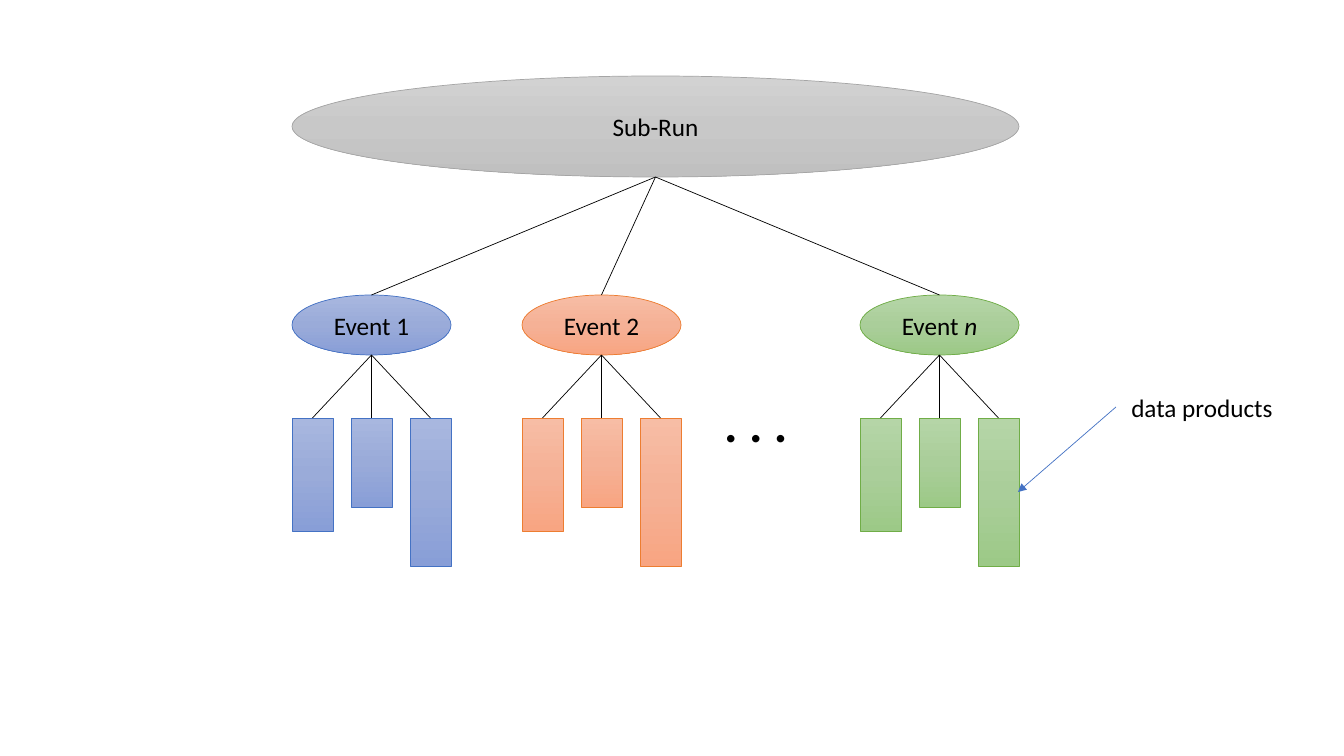
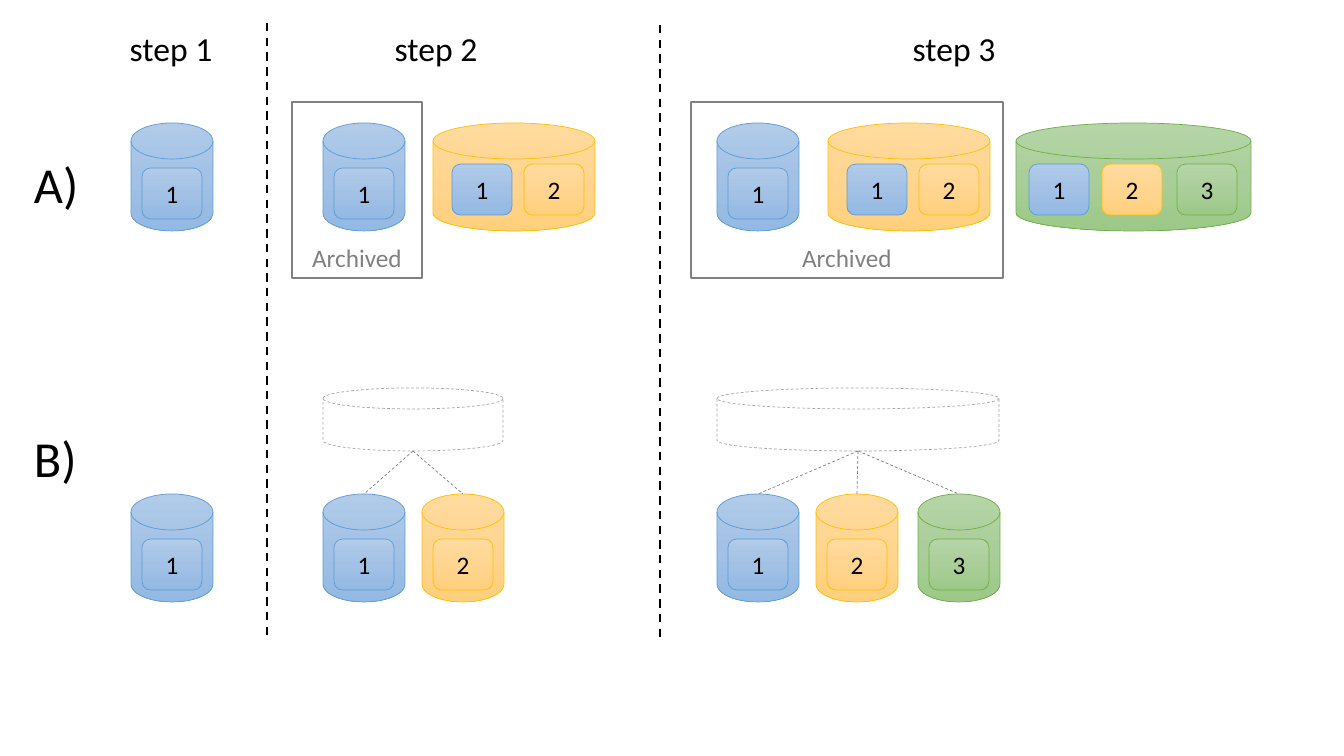
"""Build two slides: an event data tree and a comparison of two storage schemes."""
from copy import deepcopy

from pptx import Presentation
from pptx.dml.color import RGBColor
from pptx.enum.dml import MSO_LINE
from pptx.enum.shapes import MSO_CONNECTOR, MSO_SHAPE as SHAPE
from pptx.enum.text import MSO_ANCHOR as ANCHOR, PP_ALIGN as ALIGN
from pptx.oxml.ns import qn
from pptx.oxml.xmlchemy import OxmlElement
from pptx.util import Pt

SCALE = 914400 / 100.8
PAGE_SIZE = (1344, 756)
FONT = "Calibri"
BLACK, GREY, PALE_GREY = "000000", "808080", "A5A5A5"

PALETTE = {
    "grey": (("D2D2D2", "C8C8C8", "C0C0C0"), PALE_GREY),
    "indigo": (("A8B7DF", "9AABD9", "889ED7"), "4472C4"),
    "orange": (("F7BDA5", "F5B196", "F8A582"), "ED7D31"),
    "green": (("B5D5A7", "AACE9A", "9CC987"), "70AD47"),
    "blue": (("B1CBE9", "A3C1E5", "93B9E4"), "5B9BD5"),
    "yellow": (("FFDB9E", "FFD590", "FFD07C"), "FFC000"),
}

SUB_RUN = (292, 76, 727, 101)
EVENTS = [
    (292, "indigo", [("Event 1", {})]),
    (522, "orange", [("Event 2", {})]),
    (860, "green", [("Event ", {}), ("n", {"italic": True})]),
]
EVENT_TOP, EVENT_WIDTH, EVENT_HEIGHT = 295, 159, 60
PRODUCT_TOP, PRODUCT_WIDTH, PRODUCT_STEP = 418, 41, 59
PRODUCT_HEIGHTS = (113, 89, 148)
TREE_NOTES = [
    ((704, 387, 115, 72), ". . . ", {"size": Pt(36), "bold": True}),
    ((1116, 387, 172, 40), "data products", {"size": Pt(18)}),
]
NOTE_ARROW = ((1116, 407), (1018, 492))

DATASETS = {"1": "blue", "2": "yellow", "3": "green"}
ROW_A, ROW_B, DISK_HEIGHT, DISK_WIDTH = 123, 494, 108, 82
BLOCK_WIDTH, BLOCK_HEIGHT = 60, 51
SINGLE_DISKS = [
    (ROW_A, "1", (131, 323, 717)),
    (ROW_B, "1", (131, 323, 717)),
    (ROW_B, "2", (422, 816)),
    (ROW_B, "3", (918,)),
]
MERGED_DISKS = [
    (433, 162, "yellow", (19, 91)),
    (828, 162, "yellow", (19, 91)),
    (1016, 235, "green", (13, 86, 161)),
]
VIRTUAL_DISKS = [(323, 180, (323, 422)), (717, 282, (717, 816, 918))]
VIRTUAL_TOP, VIRTUAL_HEIGHT = 388, 63
ARCHIVES = [(292, 102, 130, 176), (691, 102, 312, 176)]
ROW_LABELS = [("A)", 148), ("B)", 422)]
STEP_LABELS = [("step 1", 103), ("step 2", 368), ("step 3", 886)]
DIVIDERS = [(267, 23, 641), (660, 25, 641)]


def emu(*pixels):
    return [round(value * SCALE) for value in pixels]


def rgb(code):
    return RGBColor.from_string(code)


def write(shape, spans, color=BLACK, align=ALIGN.CENTER, anchor=ANCHOR.MIDDLE, **style):
    frame = shape.text_frame
    frame.word_wrap = True
    frame.vertical_anchor = anchor
    para = frame.paragraphs[0]
    para.alignment = align
    for text, extra in spans:
        span = para.add_run()
        span.text = text
        for name, value in {"name": FONT, "size": Pt(18), **style, **extra}.items():
            setattr(span.font, name, value)
        span.font.color.rgb = rgb(color)


def add_label(page, place, text, **style):
    box = page.shapes.add_textbox(*emu(*place))
    write(box, [(text, {})], anchor=ANCHOR.TOP, **style)


def set_line(line, color, width, dashed=False):
    line.color.rgb = rgb(color)
    line.width = Pt(width)
    if dashed:
        line.dash_style = MSO_LINE.DASH


def add_outline(page, kind, place, color, width=0.5, dashed=False):
    shape = page.shapes.add_shape(kind, *emu(*place))
    shape.shadow.inherit = False
    shape.fill.background()
    set_line(shape.line, color, width, dashed)
    return shape


def add_shaded(page, kind, place, tone, spans=()):
    shades, edge = PALETTE[tone]
    shape = add_outline(page, kind, place, edge)
    shape.fill.gradient()
    shape.fill.gradient_angle = 270
    stop_list = shape.element.spPr.find(".//" + qn("a:gsLst"))
    stop_list.insert(1, deepcopy(stop_list[0]))
    for index, (stop, shade) in enumerate(zip(shape.fill.gradient_stops, shades)):
        stop.position = index / 2
        stop.color.rgb = rgb(shade)
    if spans:
        write(shape, spans)
    return shape


def add_link(page, start, end, color=BLACK, width=0.5, dashed=False, arrow=False):
    link = page.shapes.add_connector(MSO_CONNECTOR.STRAIGHT, *emu(*start, *end))
    set_line(link.line, color, width, dashed)
    properties = link.element.spPr
    if arrow:
        head = OxmlElement("a:tailEnd")
        head.set("type", "triangle")
        properties.find(qn("a:ln")).append(head)
    properties.append(OxmlElement("a:effectLst"))


def build_tree(page):
    left, top, width, height = SUB_RUN
    root = (left + width / 2, top + height)
    add_shaded(page, SHAPE.OVAL, SUB_RUN, "grey", [("Sub-Run", {})])
    for left, tone, spans in EVENTS:
        middle = left + EVENT_WIDTH / 2
        place = (left, EVENT_TOP, EVENT_WIDTH, EVENT_HEIGHT)
        add_shaded(page, SHAPE.OVAL, place, tone, spans)
        add_link(page, (middle, EVENT_TOP), root)
        for index, height in enumerate(PRODUCT_HEIGHTS):
            bar_left = left + index * PRODUCT_STEP
            place = (bar_left, PRODUCT_TOP, PRODUCT_WIDTH, height)
            add_shaded(page, SHAPE.RECTANGLE, place, tone)
            add_link(page, (bar_left + PRODUCT_WIDTH / 2, PRODUCT_TOP),
                     (middle, EVENT_TOP + EVENT_HEIGHT))
    for place, text, style in TREE_NOTES:
        add_label(page, place, text, **style)
    add_link(page, *NOTE_ARROW, color=PALETTE["indigo"][1], arrow=True)


def add_disk(page, place, tone):
    add_shaded(page, SHAPE.FLOWCHART_MAGNETIC_DISK, place, tone)


def add_block(page, left, top, number):
    place = (left, top, BLOCK_WIDTH, BLOCK_HEIGHT)
    add_shaded(page, SHAPE.ROUNDED_RECTANGLE, place, DATASETS[number], [(number, {})])


def build_storage(page):
    for top, number, lefts in SINGLE_DISKS:
        for left in lefts:
            add_disk(page, (left, top, DISK_WIDTH, DISK_HEIGHT), DATASETS[number])
            add_block(page, left + (DISK_WIDTH - BLOCK_WIDTH) / 2, top + 45, number)
    for left, width, tone, offsets in MERGED_DISKS:
        add_disk(page, (left, ROW_A, width, DISK_HEIGHT), tone)
        for number, offset in zip(DATASETS, offsets):
            add_block(page, left + offset, ROW_A + 41, number)
    for left, width, members in VIRTUAL_DISKS:
        place = (left, VIRTUAL_TOP, width, VIRTUAL_HEIGHT)
        add_outline(page, SHAPE.FLOWCHART_MAGNETIC_DISK, place, PALE_GREY, dashed=True)
        base = (left + width / 2, VIRTUAL_TOP + VIRTUAL_HEIGHT)
        for member in members:
            add_link(page, base, (member + DISK_WIDTH / 2, ROW_B), GREY, dashed=True)
    for place in ARCHIVES:
        frame = add_outline(page, SHAPE.RECTANGLE, place, GREY, 1)
        write(frame, [("Archived", {})], GREY, anchor=ANCHOR.BOTTOM)
    for text, top in ROW_LABELS:
        add_label(page, (24, top, 73, 72), text, align=ALIGN.LEFT, size=Pt(36))
    for text, left in STEP_LABELS:
        add_label(page, (left, 23, 136, 50), text, size=Pt(24))
    for x, top, bottom in DIVIDERS:
        add_link(page, (x, top), (x, bottom), width=1.5, dashed=True)


deck = Presentation()
deck.slide_width, deck.slide_height = emu(*PAGE_SIZE)
blank = deck.slide_layouts.get_by_name("Blank")
for build in (build_tree, build_storage):
    build(deck.slides.add_slide(blank))
deck.save("out.pptx")
